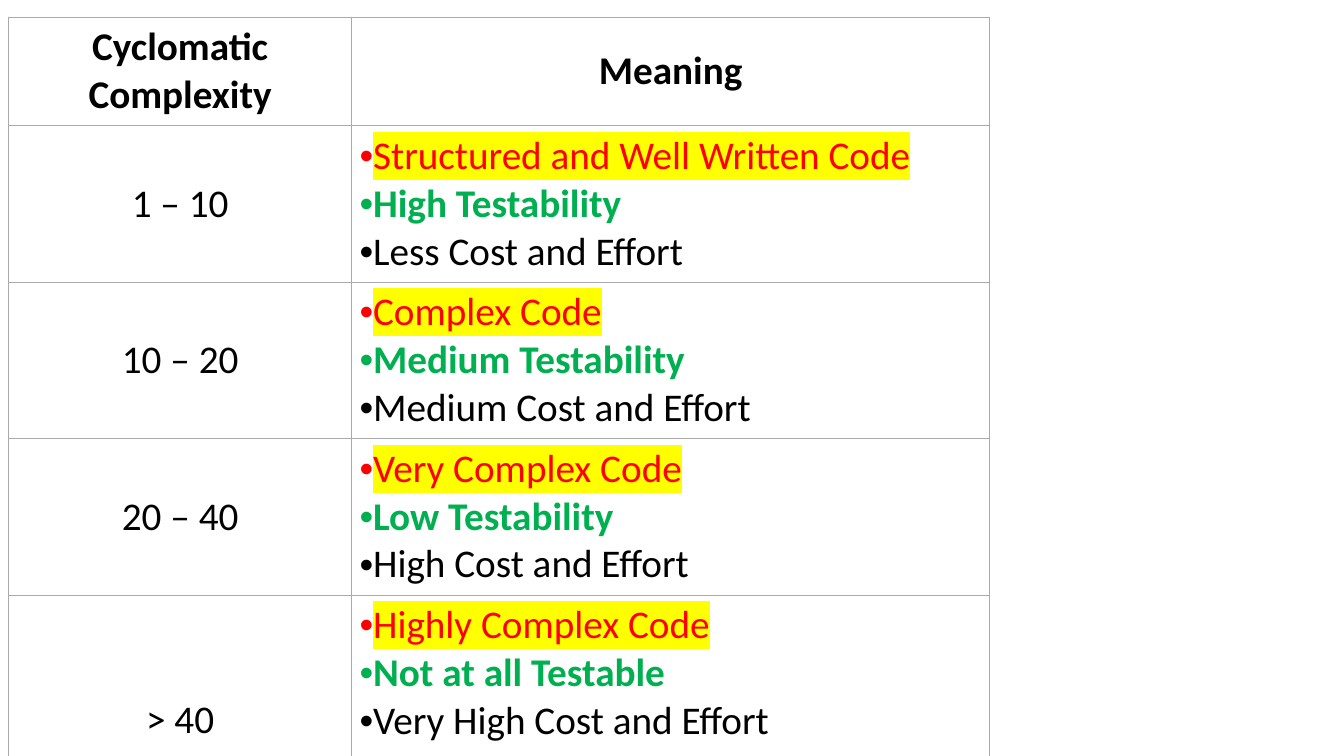
from lxml.etree import SubElement
from pptx import Presentation
from pptx.dml.color import RGBColor
from pptx.enum.text import MSO_ANCHOR, PP_ALIGN
from pptx.oxml.ns import qn
from pptx.util import Cm, Pt

BLACK = RGBColor(0x00, 0x00, 0x00)
WHITE = RGBColor(0xFF, 0xFF, 0xFF)
RED = RGBColor(0xFF, 0x00, 0x00)
GREEN = RGBColor(0x00, 0xB0, 0x50)
YELLOW = RGBColor(0xFF, 0xFF, 0x00)
GRAY = RGBColor(0xAA, 0xAA, 0xAA)

HEADS = ["Cyclomatic Complexity", "Meaning"]
LEVELS = [
    ("1 – 10", ["Structured and Well Written Code", "High Testability", "Less Cost and Effort"]),
    ("10 – 20", ["Complex Code", "Medium Testability", "Medium Cost and Effort"]),
    ("20 – 40", ["Very Complex Code", "Low Testability", "High Cost and Effort"]),
    ("> 40", ["Highly Complex Code", "Not at all Testable", "Very High Cost and Effort"]),
]
STYLES = [(RED, False, YELLOW), (GREEN, True, None), (BLACK, False, None)]
WIDTHS = [8.64, 16.08]
HEIGHTS = [2.7, 3.91, 3.91, 3.91, 6.3]


def add_run(para, text, color=BLACK, bold=False, mark=None):
    run = para.add_run()
    run.text = text
    font = run.font
    font.size = Pt(28)
    font.bold = bold
    font.color.rgb = color
    if mark is not None:
        light = SubElement(run._r.get_or_add_rPr(), qn("a:highlight"))
        SubElement(light, qn("a:srgbClr"), val=str(mark))
    font.name = "Calibri"


def style_cell(cell):
    props = cell._tc.get_or_add_tcPr()
    for side in ("a:lnL", "a:lnR", "a:lnT", "a:lnB"):
        line = SubElement(props, qn(side), w=str(Pt(0.6)))
        fill = SubElement(line, qn("a:solidFill"))
        SubElement(fill, qn("a:srgbClr"), val=str(GRAY))
    cell.fill.solid()
    cell.fill.fore_color.rgb = WHITE
    cell.vertical_anchor = MSO_ANCHOR.MIDDLE
    cell.margin_left = cell.margin_right = Cm(0.2)
    cell.margin_top = cell.margin_bottom = Cm(0.16)


deck = Presentation()
deck.slide_width = Cm(33.87)
deck.slide_height = Cm(19.05)
slide = deck.slides.add_slide(deck.slide_layouts[6])

frame = slide.shapes.add_table(
    len(HEIGHTS), len(WIDTHS), Cm(0.22), Cm(0.43), Cm(sum(WIDTHS)), Cm(sum(HEIGHTS))
)
table = frame.table
for col, width in zip(table.columns, WIDTHS):
    col.width = Cm(width)
for row, height in zip(table.rows, HEIGHTS):
    row.height = Cm(height)
for cell in table.iter_cells():
    style_cell(cell)

for col, head in enumerate(HEADS):
    para = table.cell(0, col).text_frame.paragraphs[0]
    para.alignment = PP_ALIGN.CENTER
    add_run(para, head, bold=True)

for row, (score, notes) in enumerate(LEVELS, 1):
    para = table.cell(row, 0).text_frame.paragraphs[0]
    para.alignment = PP_ALIGN.CENTER
    add_run(para, score)
    body = table.cell(row, 1).text_frame
    for pos, (note, style) in enumerate(zip(notes, STYLES)):
        para = body.add_paragraph() if pos else body.paragraphs[0]
        props = para._p.get_or_add_pPr()
        props.set("marL", "0")
        props.set("indent", "0")
        SubElement(props, qn("a:buFont"), typeface="Arial")
        SubElement(props, qn("a:buChar"), char="•")
        add_run(para, note, *style)

table.cell(len(LEVELS), 1).vertical_anchor = MSO_ANCHOR.TOP

deck.save("out.pptx")
